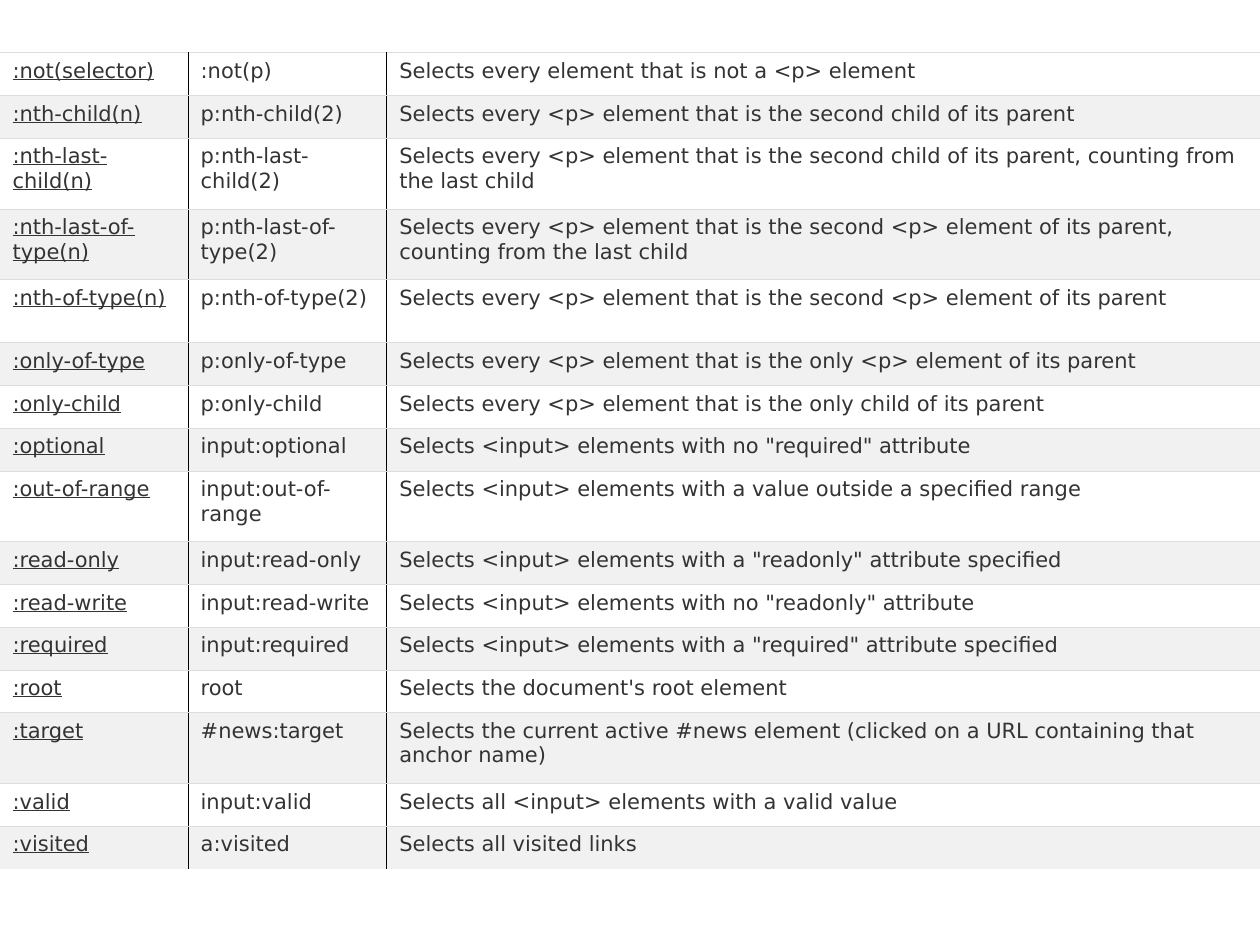
"""Build a slide with a reference table of CSS pseudo-class selectors."""
from lxml import etree
from pptx import Presentation
from pptx.dml.color import RGBColor
from pptx.oxml.ns import qn
from pptx.util import Pt

SHORT, MEDIUM, TALL = 24.46, 36, 40.45
SELECTORS = [
    (SHORT, ":not(selector)", ":not(p)", "Selects every element that is not a <p> element"),
    (SHORT, ":nth-child(n)", "p:nth-child(2)",
     "Selects every <p> element that is the second child of its parent"),
    (TALL, ":nth-last-child(n)", "p:nth-last-child(2)",
     "Selects every <p> element that is the second child of its parent, counting from the last child"),
    (TALL, ":nth-last-of-type(n)", "p:nth-last-of-type(2)",
     "Selects every <p> element that is the second <p> element of its parent, "
     "counting from the last child"),
    (MEDIUM, ":nth-of-type(n)", "p:nth-of-type(2)",
     "Selects every <p> element that is the second <p> element of its parent"),
    (SHORT, ":only-of-type", "p:only-of-type",
     "Selects every <p> element that is the only <p> element of its parent"),
    (SHORT, ":only-child", "p:only-child",
     "Selects every <p> element that is the only child of its parent"),
    (SHORT, ":optional", "input:optional", 'Selects <input> elements with no "required" attribute'),
    (TALL, ":out-of-range", "input:out-of-range",
     "Selects <input> elements with a value outside a specified range"),
    (SHORT, ":read-only", "input:read-only",
     'Selects <input> elements with a "readonly" attribute specified'),
    (SHORT, ":read-write", "input:read-write",
     'Selects <input> elements with no "readonly" attribute'),
    (SHORT, ":required", "input:required",
     'Selects <input> elements with a "required" attribute specified'),
    (SHORT, ":root", "root", "Selects the document's root element"),
    (TALL, ":target", "#news:target",
     "Selects the current active #news element (clicked on a URL containing that anchor name)"),
    (SHORT, ":valid", "input:valid", "Selects all <input> elements with a valid value"),
    (SHORT, ":visited", "a:visited", "Selects all visited links"),
]
COLUMN_WIDTHS = [107.5, 113.5, 499]
TABLE_TOP = 30
COLORS = {"text": "333333", "odd": "FFFFFF", "even": "F1F1F1",
          "row_rule": "DDDDDD", "column_rule": "000000"}
ROW_RULE, COLUMN_RULE = 0.06, 0.45
FONT, FONT_SIZE = "DejaVu Sans", 12


def add_border(cell, tag, width, color, visible):
    line = etree.SubElement(cell._tc.get_or_add_tcPr(), qn(tag), w=str(Pt(width)))
    if visible:
        fill = etree.SubElement(line, qn("a:solidFill"))
        etree.SubElement(fill, qn("a:srgbClr"), val=COLORS[color])
    else:
        etree.SubElement(line, qn("a:noFill"))


def fill_cell(cell, text, row, column):
    last_row, last_column = len(SELECTORS) - 1, len(COLUMN_WIDTHS) - 1
    add_border(cell, "a:lnL", COLUMN_RULE, "column_rule", column > 0)
    add_border(cell, "a:lnR", COLUMN_RULE, "column_rule", column < last_column)
    add_border(cell, "a:lnT", ROW_RULE, "row_rule", True)
    add_border(cell, "a:lnB", ROW_RULE, "row_rule", row < last_row)
    cell.fill.solid()
    cell.fill.fore_color.rgb = RGBColor.from_string(COLORS["even" if row % 2 else "odd"])
    cell.text = text
    font = cell.text_frame.paragraphs[0].font
    font.name, font.size = FONT, Pt(FONT_SIZE)
    font.color.rgb = RGBColor.from_string(COLORS["text"])
    font.underline = column == 0


def main():
    deck = Presentation()
    deck.slide_width, deck.slide_height = Pt(720), Pt(540)
    slide = deck.slides.add_slide(deck.slide_layouts[6])
    table_height = sum(height for height, *_ in SELECTORS)
    table = slide.shapes.add_table(
        len(SELECTORS), len(COLUMN_WIDTHS), Pt(0), Pt(TABLE_TOP),
        Pt(sum(COLUMN_WIDTHS)), Pt(table_height)).table
    table.first_row = table.horz_banding = False
    for column, width in enumerate(COLUMN_WIDTHS):
        table.columns[column].width = Pt(width)
    for row, (height, *texts) in enumerate(SELECTORS):
        table.rows[row].height = Pt(height)
        for column, text in enumerate(texts):
            fill_cell(table.cell(row, column), text, row, column)
    deck.save("out.pptx")


if __name__ == "__main__":
    main()
